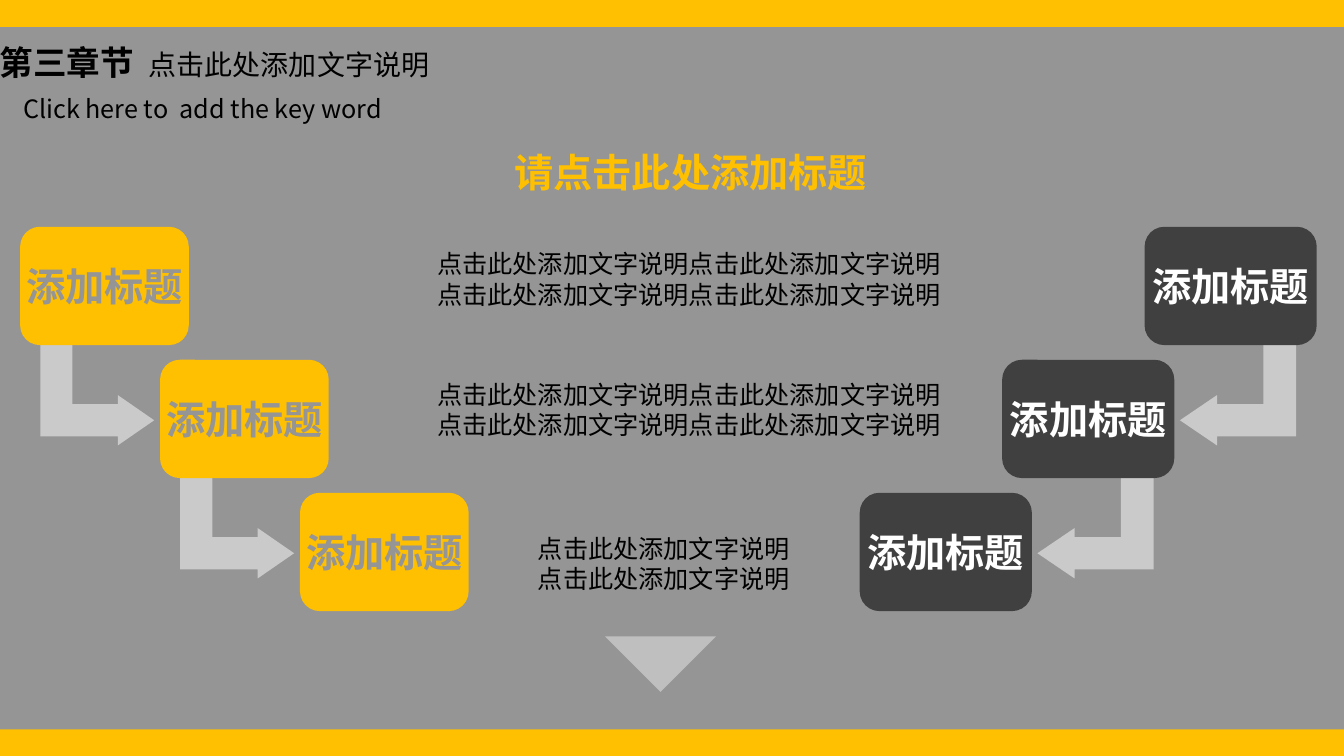
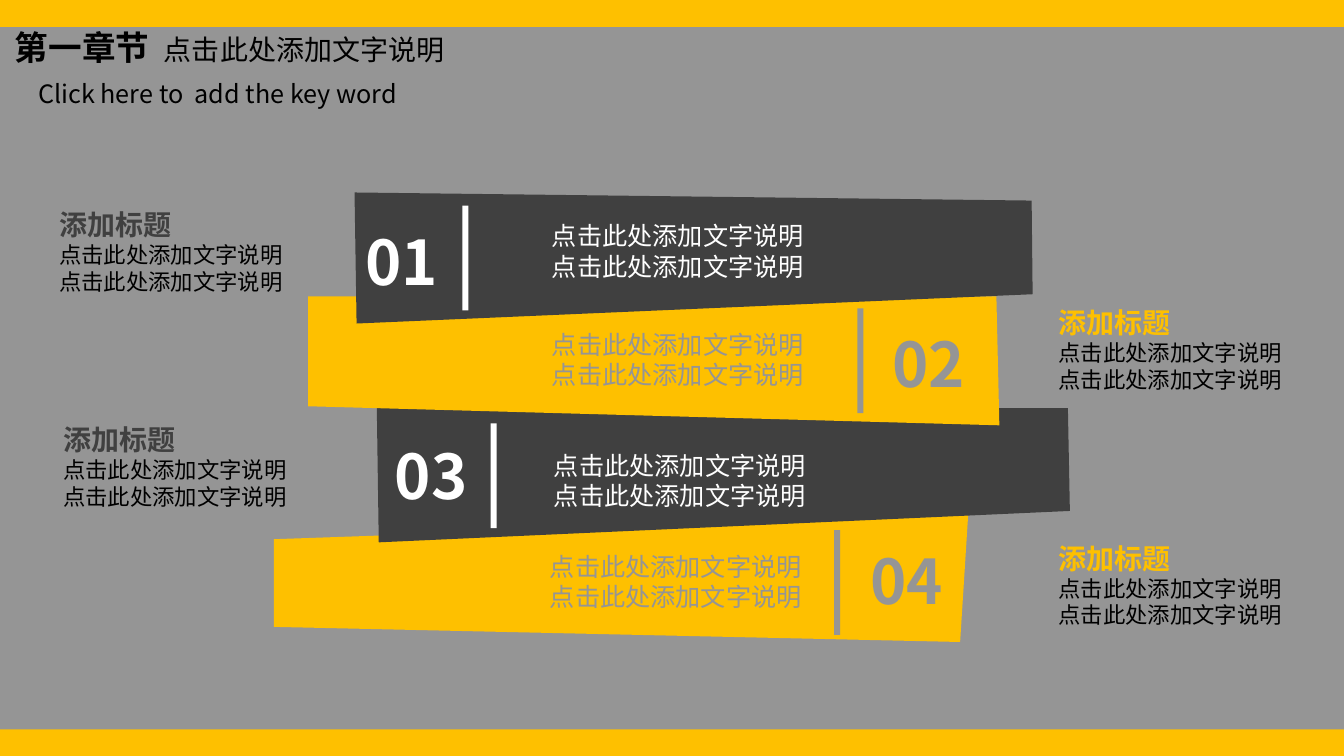
import pptx
import pptx.dml.color
import pptx.enum.shapes
import pptx.enum.text
import pptx.oxml.ns
import pptx.util
from lxml import etree

Pt = pptx.util.Pt
RGBColor = pptx.dml.color.RGBColor
Shape = pptx.enum.shapes.MSO_SHAPE
Align = pptx.enum.text.PP_ALIGN
Anchor = pptx.enum.text.MSO_ANCHOR
qn = pptx.oxml.ns.qn

YELLOW = RGBColor(0xFE, 0xC0, 0x00)
GREY = RGBColor(0x95, 0x95, 0x95)
DARK = RGBColor(0x40, 0x40, 0x40)
SILVER = RGBColor(0xBF, 0xBF, 0xBF)
WHITE = RGBColor(0xFF, 0xFF, 0xFF)
BLACK = RGBColor(0x00, 0x00, 0x00)
FONT = "Noto Sans CJK SC"
HINT = "点击此处添加文字说明"
LABEL = "添加标题"


def paint(shape, colour):
    shape.shadow.inherit = False
    shape.fill.solid()
    shape.fill.fore_color.rgb = colour
    shape.line.fill.background()
    return shape


def style(paragraph, size, colour, bold=False, align=Align.LEFT):
    paragraph.alignment = align
    paragraph.line_spacing = Pt(1.2 * size)
    for span in paragraph.runs:
        span.font.size = Pt(size)
        span.font.bold = bold
        span.font.color.rgb = colour
        span.font.name = FONT
        etree.SubElement(span.font._element, qn("a:ea")).set("typeface", FONT)


deck = pptx.Presentation()
deck.slide_width = Pt(960.5)
deck.slide_height = Pt(540)
steps_page, strips_page = [
    deck.slides.add_slide(deck.slide_layouts[6]) for _ in range(2)
]

master = deck.slide_master
master.background.fill.solid()
master.background.fill.fore_color.rgb = YELLOW
panel = steps_page.shapes.add_shape(
    Shape.RECTANGLE, Pt(0), Pt(19.4), Pt(960.5), Pt(501.6)
)
paint(panel, GREY)
panel.element.nvSpPr.cNvPr.set("id", "20")
master.element.cSld.spTree.insert(2, panel.element)

for page, chapter, left, top in [
    (steps_page, "第三章节", -7.2, 26.6),
    (strips_page, "第一章节", 3.6, 15.8),
]:
    box = page.shapes.add_textbox(Pt(left), Pt(top), Pt(325), Pt(36))
    box.text_frame.word_wrap = True
    heading = box.text_frame.paragraphs[0]
    heading.text = chapter
    heading.add_run().text = "\t" + HINT
    tabs = etree.SubElement(heading._p.get_or_add_pPr(), qn("a:tabLst"))
    tab = etree.SubElement(tabs, qn("a:tab"))
    tab.set("pos", str(Pt(106.5)))
    tab.set("algn", "l")
    style(heading, 24, BLACK, True)
    heading.runs[1].font.size = Pt(20)
    heading.runs[1].font.bold = False

    box = page.shapes.add_textbox(Pt(left + 16.6), Pt(top + 36.7), Pt(292), Pt(29))
    box.text_frame.word_wrap = True
    box.text_frame.text = "Click here to  add the key word"
    style(box.text_frame.paragraphs[0], 18, BLACK)

STEP_TOP, STEP_PITCH, STEP_HEIGHT = 162, 95, 84.5
ELBOW = [
    (37.4, 84.5), (37.4, 126.7), (69.8, 126.7), (69.8, 120.2), (95.8, 138.2),
    (69.8, 156.2), (69.8, 149.8), (14.4, 149.8), (14.4, 84.5),
]
for outer, direction, width, shift, fill, ink in [
    (14.4, 1, 120.5, 100, YELLOW, GREY),
    (941, -1, 123, 101.8, DARK, WHITE),
]:
    for index in range(3):
        edge = outer + direction * shift * index
        top = STEP_TOP + STEP_PITCH * index
        if index < 2:
            reach = direction * width / 120.5
            points = [(Pt(edge + reach * x), Pt(top + y)) for x, y in ELBOW]
            builder = steps_page.shapes.build_freeform(*points[0])
            builder.add_line_segments(points[1:])
            arrow = paint(builder.convert_to_shape(), WHITE)
            white = arrow.element.spPr.find(".//" + qn("a:srgbClr"))
            etree.SubElement(white, qn("a:alpha")).set("val", "50000")
        left = edge if direction > 0 else edge - width
        step = steps_page.shapes.add_shape(
            Shape.ROUNDED_RECTANGLE, Pt(left), Pt(top), Pt(width), Pt(STEP_HEIGHT)
        )
        paint(step, fill)
        frame = step.text_frame
        frame.margin_left = frame.margin_right = Pt(0)
        frame.word_wrap = False
        frame.vertical_anchor = Anchor.MIDDLE
        frame.text = LABEL
        style(frame.paragraphs[0], 28, ink, True, Align.CENTER)

for left, top, width, line in [
    (305.3, 174.2, 376, HINT * 2),
    (305.3, 267.1, 376, HINT * 2),
    (377.3, 377.3, 195, HINT),
]:
    box = steps_page.shapes.add_textbox(Pt(left), Pt(top), Pt(width), Pt(50.4))
    box.text_frame.word_wrap = True
    box.text_frame.text = line + "\n" + line
    for paragraph in box.text_frame.paragraphs:
        style(paragraph, 18, BLACK)

box = steps_page.shapes.add_textbox(Pt(359.3), Pt(102.2), Pt(268.6), Pt(41))
box.text_frame.word_wrap = True
box.text_frame.text = "请点击此处添加标题"
style(box.text_frame.paragraphs[0], 28, YELLOW, True, Align.CENTER)

pointer = steps_page.shapes.add_shape(
    Shape.FLOWCHART_MERGE, Pt(432.4), Pt(454.5), Pt(79.4), Pt(39.7)
)
paint(pointer, SILVER)

STRIPS = [
    ("04", YELLOW, GREY, YELLOW,
     [(195.8, 385.2), (691.9, 368), (686.2, 458.6), (195.8, 447.8)],
     (596.2, 378.7), (614.9, 384.5), (385.9, 390.2), (749.5, 383)),
    ("03", DARK, WHITE, DARK,
     [(269.3, 291.6), (763.2, 291.6), (764.6, 365), (270.7, 387.4)],
     (350.6, 302.4), (275, 309.6), (388.8, 318.2), (38.2, 298.1)),
    ("02", YELLOW, GREY, YELLOW,
     [(220.3, 211.7), (712.1, 211.7), (714.2, 303.8), (220.3, 290.2)],
     (612.7, 220.3), (630.7, 229), (387.4, 231.8), (749.5, 214.6)),
    ("01", DARK, WHITE, DARK,
     [(253.4, 137.5), (737.3, 143.3), (738, 210.2), (254.9, 231.1)],
     (330.5, 146.9), (254.2, 156.2), (387.4, 154.1), (35.3, 144.7)),
]
for number, fill, ink, accent, outline, divider, digits, middle, caption in STRIPS:
    points = [(Pt(x), Pt(y)) for x, y in outline]
    builder = strips_page.shapes.build_freeform(*points[0])
    builder.add_line_segments(points[1:])
    paint(builder.convert_to_shape(), fill)
    bar = strips_page.shapes.add_shape(
        Shape.RECTANGLE, Pt(divider[0]), Pt(divider[1]), Pt(4.3), Pt(74.9)
    )
    paint(bar, ink)
    for (left, top), width, height, lines in [
        (digits, 70, 60.5, [(number, 44, ink, True)]),
        (middle, 196.6, 50.4, [(HINT, 18, ink, False)] * 2),
        (caption, 183.6, 69.8,
         [(LABEL, 20, accent, True)] + [(HINT, 16, BLACK, False)] * 2),
    ]:
        box = strips_page.shapes.add_textbox(Pt(left), Pt(top), Pt(width), Pt(height))
        box.text_frame.word_wrap = True
        box.text_frame.text = "\n".join(line[0] for line in lines)
        for paragraph, (_, size, colour, bold) in zip(box.text_frame.paragraphs, lines):
            style(paragraph, size, colour, bold)

deck.save("out.pptx")
